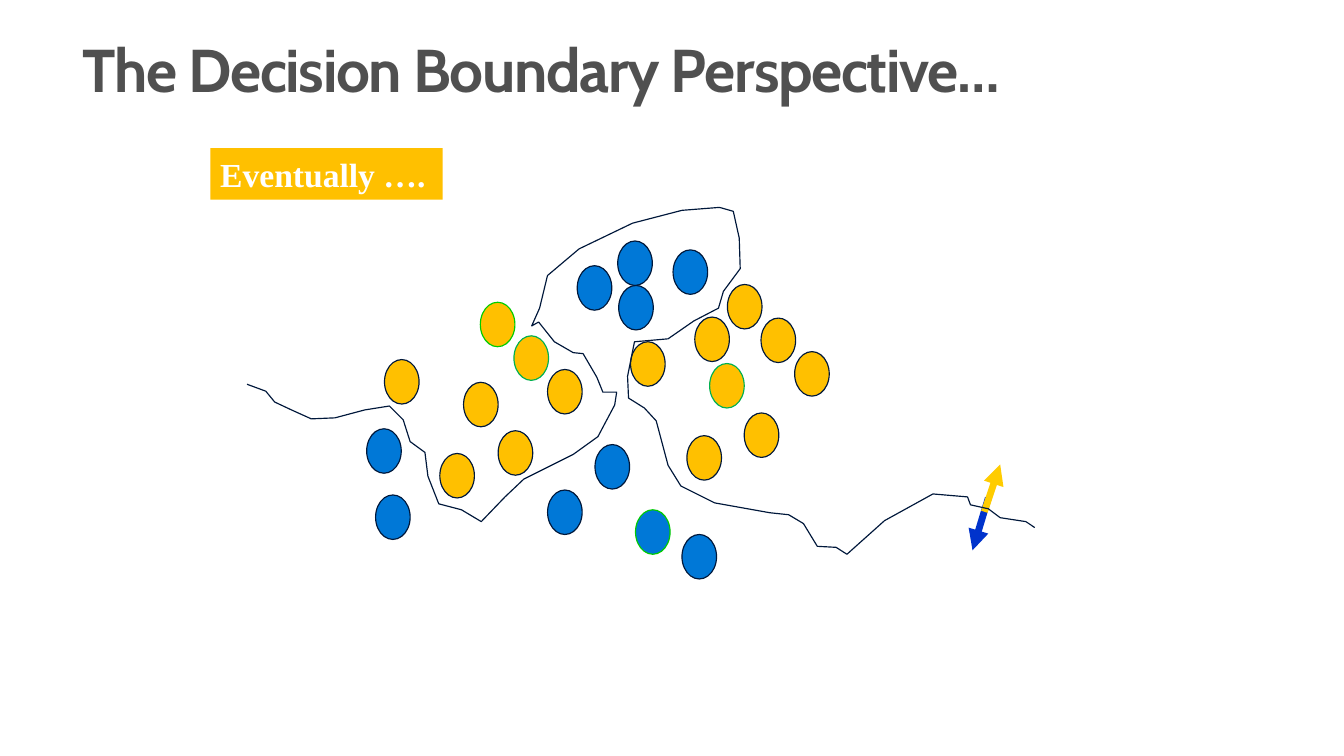
from dataclasses import dataclass

from lxml import etree
from pptx import Presentation
from pptx import util as u
from pptx.dml.color import RGBColor
from pptx.enum import shapes, text
from pptx.oxml import ns


@dataclass(frozen=True)
class Theme:
    blue: str = "0078D7"
    gold: str = "FFC000"
    navy: str = "00183B"
    lime: str = "00CC00"
    green: str = "00B050"
    down: str = "0033CC"
    up: str = "FFCC00"
    grey: str = "505050"
    white: str = "FFFFFF"
    head: str = "Cabin"
    body: str = "Times New Roman"
    big: float = 44
    small: float = 24.5
    thin: float = 0.85
    thick: float = 5


@dataclass(frozen=True)
class Box:
    """A region of the slide, in centimetres."""
    left: float
    top: float
    width: float
    height: float

    def emu(self):
        return [u.Cm(v) for v in (self.left, self.top, self.width, self.height)]


THEME = Theme()
UNIT = u.Cm(2.54) // 100  # one step of the diagram grid
DOT = (35, 45)

# Left and top of each dot on the diagram grid, by fill and outline
DOTS = {
    (THEME.blue, THEME.navy): [
        (440, 331), (334, 59), (130, 291), (121, 224), (431, 43),
        (376, 79), (304, 286), (352, 240), (375, 34)],
    (THEME.blue, THEME.lime): [(393, 306)],
    (THEME.gold, THEME.navy): [
        (219, 177), (254, 226), (304, 164), (195, 249), (139, 154), (486, 78),
        (520, 112), (503, 208), (554, 146), (445, 231), (388, 136), (453, 111)],
    (THEME.gold, THEME.lime): [(236, 96)],
    (THEME.gold, THEME.green): [(270, 130), (468, 158)],
}

ARROWS = [
    (THEME.down, (750, 294), (734, 347)),
    (THEME.up, (746, 308), (762, 260)),
]

BORDER = [
    (0, 179), (19, 186), (28, 197), (45, 205), (65, 214), (89, 213),
    (119, 205), (144, 201), (158, 215), (165, 237), (180, 248), (183, 272),
    (194, 300), (217, 306), (237, 318), (261, 293), (280, 275), (330, 250),
    (355, 232), (372, 200), (374, 187), (360, 187), (354, 172), (340, 148),
    (330, 147), (311, 136), (295, 116), (288, 120), (296, 102), (304, 69),
    (336, 42), (390, 16), (440, 3), (478, 0), (492, 4), (498, 31),
    (499, 62), (482, 85), (477, 102), (452, 115), (426, 133), (392, 136),
    (385, 171), (386, 193), (402, 203), (414, 216), (426, 261), (439, 282),
    (473, 299), (529, 309), (548, 311), (563, 320), (577, 343), (596, 344),
    (607, 351), (645, 317), (694, 290), (729, 293), (732, 301), (750, 305),
    (762, 314), (788, 318), (797, 324),
]


def color(code):
    return RGBColor.from_string(code)


def paint(shape, fill=None, line=None):
    shape.shadow.inherit = False
    if fill:
        shape.fill.solid()
        shape.fill.fore_color.rgb = color(fill)
    else:
        shape.fill.background()
    if line:
        shape.line.color.rgb = color(line)
        shape.line.width = u.Pt(THEME.thin)
    else:
        shape.line.fill.background()


def write(shape, words, face, size, ink):
    """Put one bold paragraph in a shape and return it."""
    para = shape.text_frame.paragraphs[0]
    para.add_run().text = words
    font = para.font
    font.name, font.size, font.bold = face, u.Pt(size), True
    font.color.rgb = color(ink)
    return para


def title(slide, box):
    shape = slide.shapes.add_textbox(*box.emu())
    shape.text_frame.word_wrap = True
    para = write(shape, "The Decision Boundary Perspective…",
                 THEME.head, THEME.big, THEME.grey)
    para.alignment = text.PP_ALIGN.JUSTIFY
    para.line_spacing = 0.9
    para.runs[0].font._element.set("spc", "-100")


def label(slide, box):
    shape = slide.shapes.add_shape(shapes.MSO_SHAPE.RECTANGLE, *box.emu())
    paint(shape, THEME.gold)
    shape.text_frame.word_wrap = False
    para = write(shape, "Eventually ….", THEME.body, THEME.small, THEME.white)
    para.alignment = text.PP_ALIGN.LEFT


def arrow(slide, ink, start, end):
    line = slide.shapes.add_connector(shapes.MSO_CONNECTOR.STRAIGHT, *start, *end)
    line.line.color.rgb = color(ink)
    line.line.width = u.Pt(THEME.thick)
    tail = etree.SubElement(line.line._get_or_add_ln(), ns.qn("a:tailEnd"))
    tail.set("type", "triangle")
    etree.SubElement(line._element.spPr, ns.qn("a:effectLst"))


def diagram(slide, box):
    """Draw the dots, the arrows and the boundary between the classes."""
    left, top = box.emu()[:2]

    def place(spot):
        return left + spot[0] * UNIT, top + spot[1] * UNIT

    size = [side * UNIT for side in DOT]
    for (fill, line), spots in DOTS.items():
        for spot in spots:
            dot = slide.shapes.add_shape(shapes.MSO_SHAPE.OVAL, *place(spot), *size)
            paint(dot, fill, line)
    for ink, start, end in ARROWS:
        arrow(slide, ink, place(start), place(end))
    pen = slide.shapes.build_freeform(*BORDER[0], scale=UNIT)
    pen.add_line_segments(BORDER[1:], close=False)
    paint(pen.convert_to_shape(left, top), line=THEME.navy)


def main():
    deck = Presentation()
    deck.slide_width, deck.slide_height = u.Cm(34.54), u.Cm(19.43)
    slide = deck.slides.add_slide(deck.slide_layouts[6])
    diagram(slide, Box(6.35, 5.33, 20.24, 8.92))
    label(slide, Box(5.41, 3.81, 5.97, 1.32))
    title(slide, Box(1.88, 0.91, 33.02, 2.54))
    deck.save("out.pptx")


if __name__ == "__main__":
    main()
